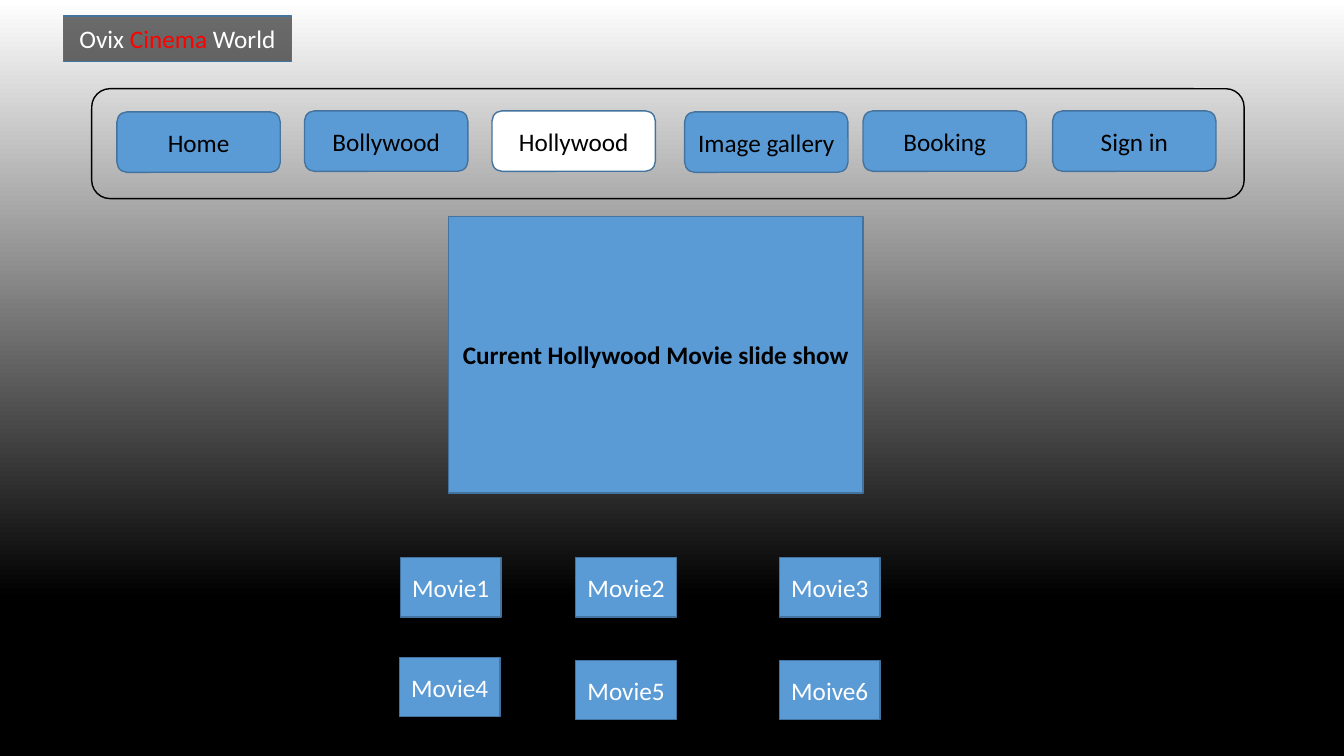
import dataclasses
from typing import Optional

import pptx
import pptx.dml.color
import pptx.enum.shapes
import pptx.enum.text
import pptx.oxml
import pptx.oxml.ns
import pptx.shapes.autoshape
import pptx.shapes.shapetree
import pptx.slide
import pptx.util

Inches = pptx.util.Inches
RGBColor = pptx.dml.color.RGBColor
RECT = pptx.enum.shapes.MSO_SHAPE.RECTANGLE
ROUNDED = pptx.enum.shapes.MSO_SHAPE.ROUNDED_RECTANGLE

BLACK = RGBColor(0x00, 0x00, 0x00)
WHITE = RGBColor(0xFF, 0xFF, 0xFF)
RED = RGBColor(0xFF, 0x00, 0x00)
BLUE = RGBColor(0x5B, 0x9B, 0xD5)
DARK_BLUE = RGBColor(0x43, 0x73, 0x9E)

FONT_FORMAT = {"name": "Calibri", "size": pptx.util.Pt(18)}


@dataclasses.dataclass(frozen=True)
class Run:
    text: str
    color: RGBColor = BLACK
    bold: bool = False


@dataclasses.dataclass(frozen=True)
class Box:
    """A wireframe element; position and size are in inches."""
    left: float
    top: float
    width: float
    height: float
    runs: tuple[Run, ...] = ()
    geometry: pptx.enum.shapes.MSO_SHAPE = RECT
    fill: Optional[RGBColor] = BLUE
    opacity: int = 100
    line: RGBColor = DARK_BLUE


NAV_FRAME = Box(0.91, 0.88, 11.43, 1.09, geometry=ROUNDED, fill=None, line=BLACK)
NAV_BUTTONS = [
    Box(left, top, 1.62, 0.6, (Run(label),), ROUNDED, fill)
    for label, left, top, fill in (
        ("Home", 1.16, 1.11, BLUE),
        ("Bollywood", 3.02, 1.1, BLUE),
        ("Hollywood", 4.88, 1.1, WHITE),
        ("Image gallery", 6.79, 1.11, BLUE),
        ("Sign in", 10.44, 1.1, BLUE),
        ("Booking", 8.56, 1.1, BLUE),
    )
]
SITE_TITLE = Box(
    0.63, 0.16, 2.26, 0.45,
    (Run("Ovix ", WHITE), Run("Cinema", RED), Run(" World", WHITE)),
    fill=BLACK, opacity=57,
)
SLIDE_SHOW = Box(4.45, 2.15, 4.11, 2.74,
                 (Run("Current Hollywood Movie slide show", bold=True),))
MOVIES = [
    Box(left, top, 1, 0.59, (Run(title, WHITE),))
    for title, left, top in (
        ("Movie4", 3.96, 6.52),
        ("Movie1", 3.97, 5.53),
        ("Movie2", 5.71, 5.53),
        ("Movie5", 5.71, 6.55),
        ("Movie3", 7.73, 5.53),
        ("Moive6", 7.73, 6.55),
    )
]


def paint_background(slide: pptx.slide.Slide) -> None:
    fill = slide.background.fill
    fill.gradient()
    fill.gradient_angle = 270
    for stop, position, color in zip(fill.gradient_stops, (0, 0.79), (WHITE, BLACK)):
        stop.position = position
        stop.color.rgb = color


def paint_box(shape: pptx.shapes.autoshape.Shape, box: Box) -> None:
    shape.shadow.inherit = False
    shape.line.color.rgb = box.line
    shape.line.width = pptx.util.Pt(1)
    if box.fill is None:
        shape.fill.background()
        return
    shape.fill.solid()
    shape.fill.fore_color.rgb = box.fill
    if box.opacity < 100:
        qn = pptx.oxml.ns.qn
        color = shape.fill._xPr.find(qn("a:solidFill")).find(qn("a:srgbClr"))
        color.append(pptx.oxml.parse_xml(
            f'<a:alpha {pptx.oxml.ns.nsdecls("a")} val="{box.opacity * 1000}"/>'))


def write_runs(shape: pptx.shapes.autoshape.Shape, runs: tuple[Run, ...]) -> None:
    frame = shape.text_frame
    frame.word_wrap = True
    frame.vertical_anchor = pptx.enum.text.MSO_ANCHOR.MIDDLE
    paragraph = frame.paragraphs[0]
    paragraph.alignment = pptx.enum.text.PP_ALIGN.CENTER
    for run in runs:
        piece = paragraph.add_run()
        piece.text = run.text
        for attribute, value in FONT_FORMAT.items():
            setattr(piece.font, attribute, value)
        piece.font.bold = run.bold
        piece.font.color.rgb = run.color


def draw_boxes(shapes: pptx.shapes.shapetree._BaseGroupShapes, boxes: list[Box]) -> None:
    for box in boxes:
        shape = shapes.add_shape(box.geometry, Inches(box.left), Inches(box.top),
                                 Inches(box.width), Inches(box.height))
        paint_box(shape, box)
        if box.runs:
            write_runs(shape, box.runs)


def main() -> None:
    deck = pptx.Presentation()
    deck.slide_width = Inches(13.33)
    deck.slide_height = Inches(7.5)
    slide = deck.slides.add_slide(deck.slide_layouts[6])
    paint_background(slide)
    page_top = slide.shapes.add_group_shape()
    draw_boxes(page_top.shapes, [NAV_FRAME, *NAV_BUTTONS, SITE_TITLE, SLIDE_SHOW])
    draw_boxes(slide.shapes, MOVIES)
    deck.save("out.pptx")


if __name__ == "__main__":
    main()
